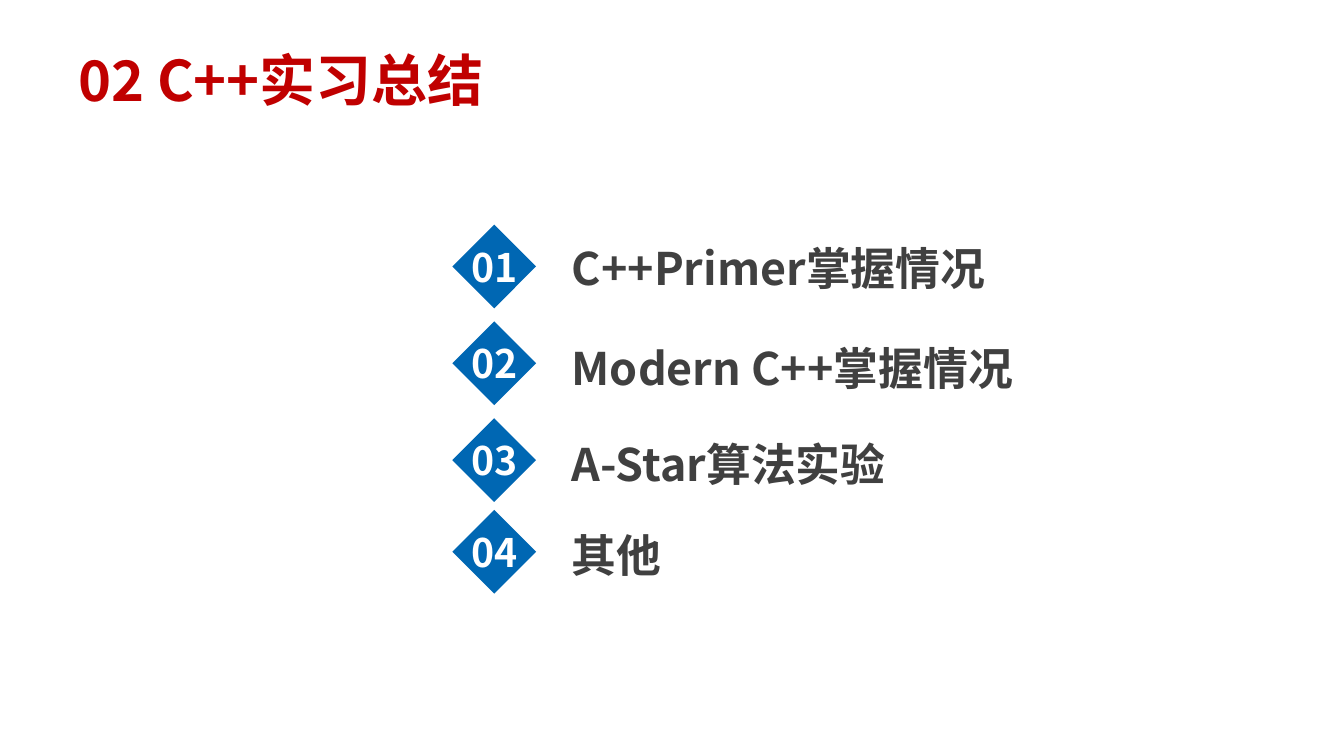
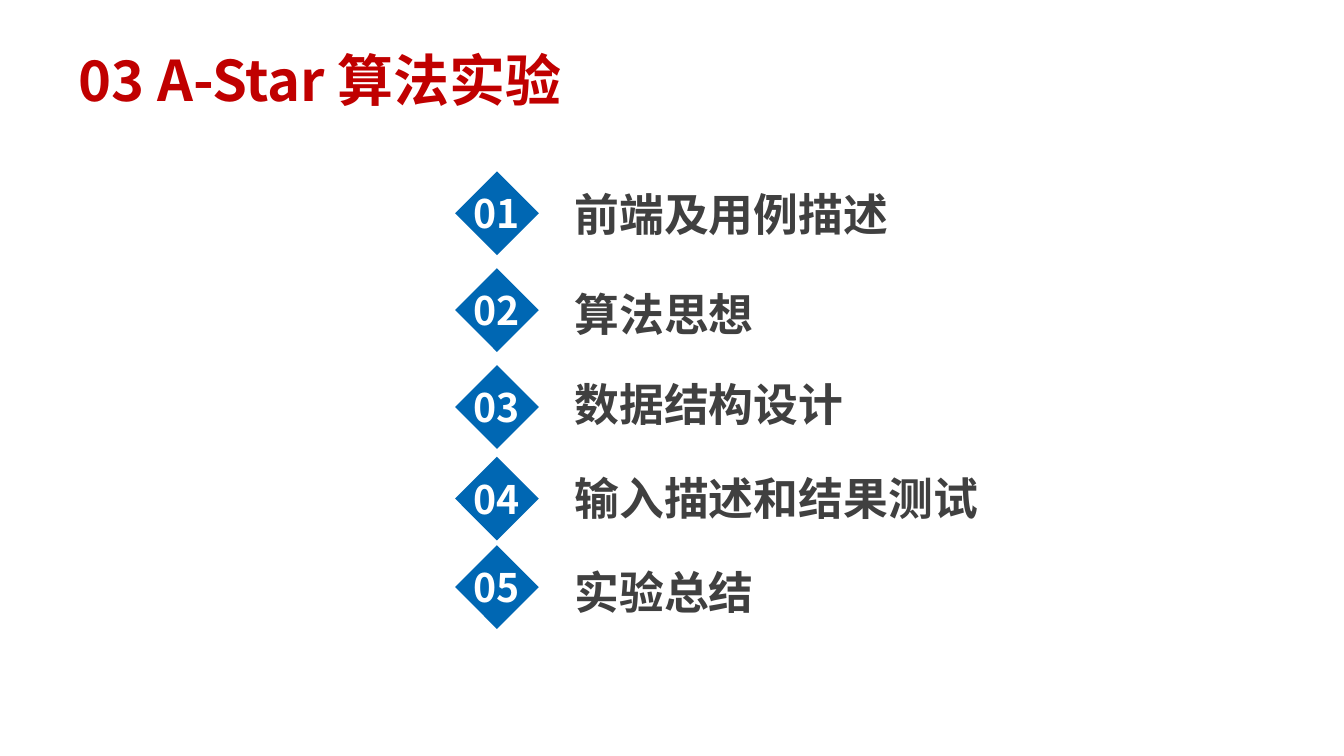
from pptx import Presentation
from pptx.dml.color import RGBColor
from pptx.enum.shapes import MSO_SHAPE as Shape
from pptx.enum.text import MSO_ANCHOR as Anchor, PP_ALIGN as Align
from pptx.util import Cm, Pt

FONT = "Noto Sans CJK SC"
COLORS = {"title": "C00000", "marker": "0067B3", "number": "FFFFFF", "label": "404040"}
DIAMOND_SIZE = 2.11
LABEL_OFFSET = 2.76
ROW_OFFSETS = [0, 2.44, 4.88, 7.19, 9.42]

AGENDAS = [
    {
        "title": "02 C++实习总结",
        "left": 11.4,
        "top": 5.66,
        "items": [
            ("C++Primer掌握情况", 0.28),
            ("Modern C++掌握情况", 0.36),
            ("A-Star算法实验", 0.33),
            ("其他", 0.33),
        ],
    },
    {
        "title": "03 A-Star 算法实验",
        "left": 11.47,
        "top": 4.32,
        "items": [
            ("前端及用例描述", 0.25),
            ("算法思想", 0.35),
            ("数据结构设计", 0.18),
            ("输入描述和结果测试", 0.22),
            ("实验总结", 0.36),
        ],
    },
]


class Deck:
    def __init__(self):
        self.presentation = Presentation()
        self.presentation.slide_width = Cm(33.87)
        self.presentation.slide_height = Cm(19.05)
        self.slide = None

    def color(self, name):
        return RGBColor.from_string(COLORS[name])

    def set_text(self, shape, text, size, color, align=Align.LEFT):
        paragraph = shape.text_frame.paragraphs[0]
        paragraph.text = text
        paragraph.alignment = align
        font = paragraph.font
        font.name = FONT
        font.size = Pt(size)
        font.bold = True
        font.color.rgb = self.color(color)

    def text(self, text, left, top, width, height, size, color):
        box = self.slide.shapes.add_textbox(Cm(left), Cm(top), Cm(width), Cm(height))
        box.text_frame.word_wrap = True
        self.set_text(box, text, size, color)

    def add_slide(self, title):
        self.slide = self.presentation.slides.add_slide(self.presentation.slide_layouts[6])
        self.text(title, 1.73, 1.02, 14.25, 1.96, 40, "title")

    def marker(self, number, left, top):
        diamond = self.slide.shapes.add_shape(
            Shape.DIAMOND, Cm(left), Cm(top), Cm(DIAMOND_SIZE), Cm(DIAMOND_SIZE))
        diamond.shadow.inherit = False
        diamond.fill.solid()
        diamond.fill.fore_color.rgb = self.color("marker")
        diamond.line.fill.background()
        frame = diamond.text_frame
        frame.margin_left = frame.margin_right = frame.margin_top = frame.margin_bottom = 0
        frame.word_wrap = False
        frame.vertical_anchor = Anchor.MIDDLE
        self.set_text(diamond, f"{number:02d}", 28, "number", Align.CENTER)

    def agenda(self, items, left, top):
        rows = zip(items, ROW_OFFSETS)
        for number, ((label, drop), offset) in enumerate(rows, start=1):
            self.marker(number, left, top + offset)
            self.text(label, left + LABEL_OFFSET, top + offset + drop, 13.46, 1.63, 32, "label")


def main():
    deck = Deck()
    for agenda in AGENDAS:
        deck.add_slide(agenda["title"])
        deck.agenda(agenda["items"], agenda["left"], agenda["top"])
    deck.presentation.save("out.pptx")


if __name__ == "__main__":
    main()
